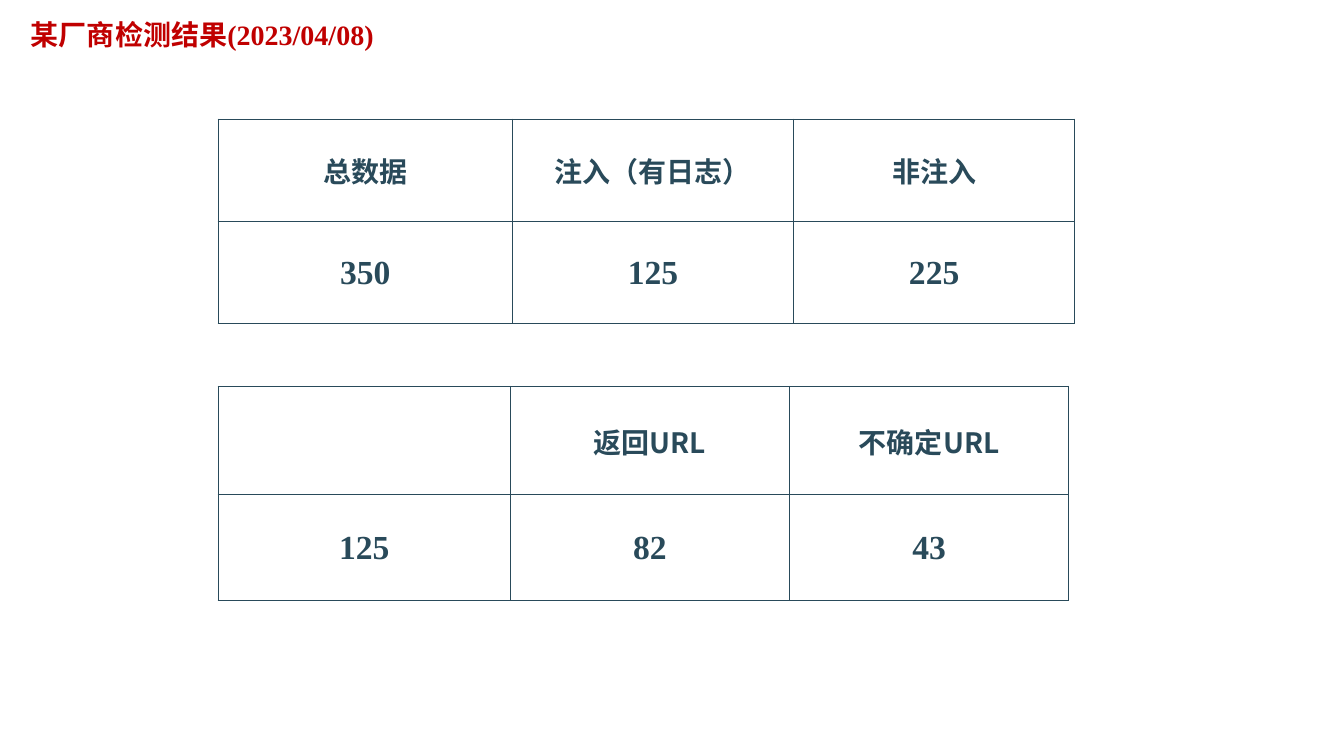
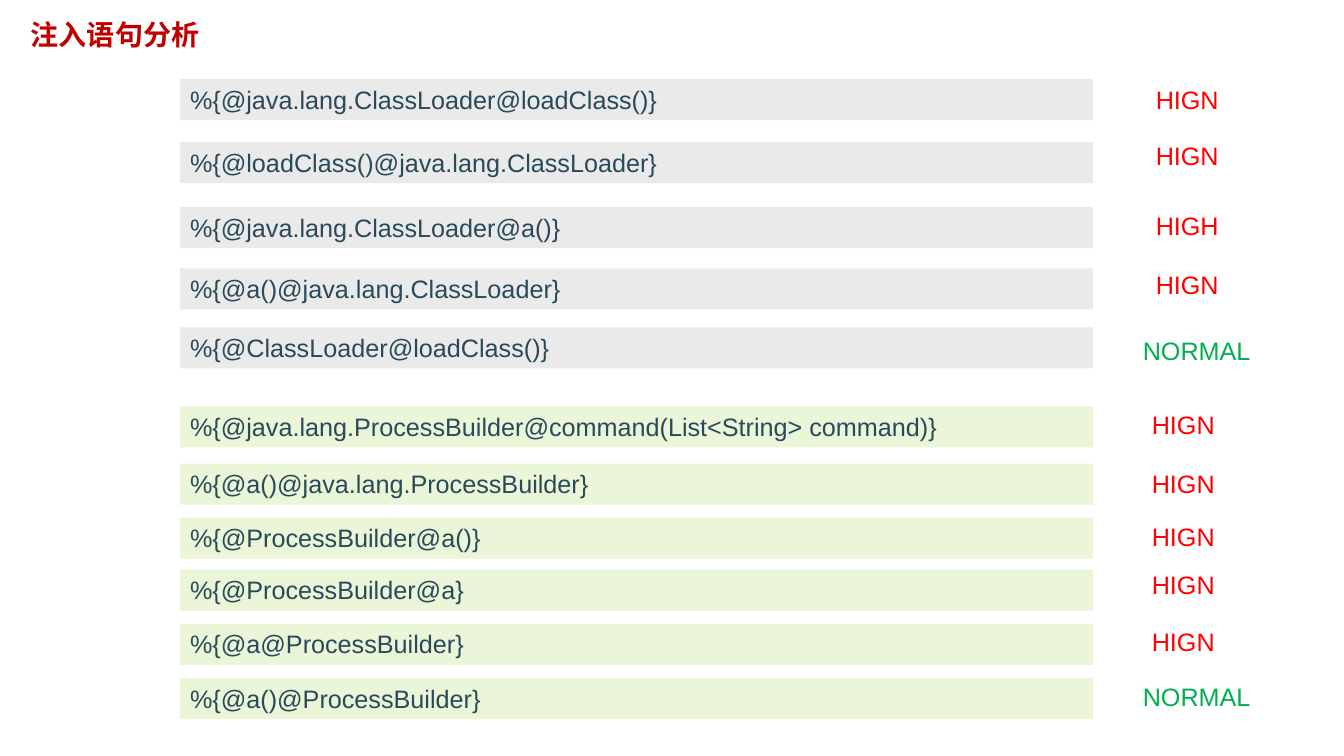
from dataclasses import dataclass

from lxml.etree import SubElement
from pptx import Presentation
from pptx.dml.color import RGBColor
from pptx.enum.shapes import MSO_AUTO_SHAPE_TYPE as ShapeKind
from pptx.enum.text import MSO_ANCHOR as Anchor, PP_ALIGN as Align
from pptx.oxml import parse_xml
from pptx.oxml.ns import nsdecls, qn
from pptx.util import Pt

EMU_PER_PIXEL = 9080


@dataclass(frozen=True)
class Theme:
    """Colours, fonts and type sizes shared by the slides."""
    title: str = "C00000"
    ink: str = "294A5A"
    paper: str = "FFFFFF"
    loader: str = "EAEAEA"
    process: str = "EBF5D7"
    alert: str = "FF0000"
    normal: str = "00B050"
    serif: str = "Times New Roman"
    sans: str = "Arial"
    chinese: str = "Noto Sans CJK SC"
    heading_size: int = 20
    figure_size: int = 24
    body_size: int = 18


THEME = Theme()
TITLE_STYLE = dict(name=THEME.serif, size=THEME.heading_size, bold=True, color=THEME.title)
HEADER_STYLE = dict(name=THEME.chinese, size=THEME.heading_size, bold=True, color=THEME.ink)
FIGURE_STYLE = dict(name=THEME.serif, size=THEME.figure_size, bold=True, color=THEME.ink)
BODY_STYLE = dict(name=THEME.sans, size=THEME.body_size, bold=False)

# column widths, row heights and cell texts of each table, with its top
RESULT_TABLES = [
    (119, (294, 281, 281), (102, 102),
     [("总数据", "注入（有日志）", "非注入"), ("350", "125", "225")]),
    (386, (292, 279, 279), (108, 106),
     [("", "返回URL", "不确定URL"), ("125", "82", "43")]),
]

# bar colour, left edge of the alert labels, then (bar top, label top, statement, verdict)
STATEMENT_GROUPS = [
    (THEME.loader, 1145, [
        (79, 79, "%{@java.lang.ClassLoader@loadClass()}", "HIGN"),
        (142, 135, "%{@loadClass()@java.lang.ClassLoader}", "HIGN"),
        (207, 205, "%{@java.lang.ClassLoader@a()}", "HIGH"),
        (268, 264, "%{@a()@java.lang.ClassLoader}", "HIGN"),
        (327, 330, "%{@ClassLoader@loadClass()}", "NORMAL"),
    ]),
    (THEME.process, 1141, [
        (406, 404, "%{@java.lang.ProcessBuilder@command(List<String> command)}", "HIGN"),
        (463, 463, "%{@a()@java.lang.ProcessBuilder}", "HIGN"),
        (517, 516, "%{@ProcessBuilder@a()}", "HIGN"),
        (569, 564, "%{@ProcessBuilder@a}", "HIGN"),
        (623, 621, "%{@a@ProcessBuilder}", "HIGN"),
        (677, 675, "%{@a()@ProcessBuilder}", "NORMAL"),
    ]),
]
NORMAL_LEFT = 1132
ROW_HEIGHT = 41


def px(*lengths):
    """Turn pixel lengths into a list of EMU lengths."""
    return [length * EMU_PER_PIXEL for length in lengths]


def apply(target, values):
    """Set each named attribute on the target."""
    for name, value in values.items():
        setattr(target, name, value)


def write(frame, text, style, align=Align.LEFT):
    """Put one styled paragraph into a text frame."""
    para = frame.paragraphs[0]
    para.alignment = align
    span = para.add_run()
    span.text = text
    apply(span.font, dict(name=style["name"], size=Pt(style["size"]), bold=style["bold"]))
    span.font.color.rgb = RGBColor.from_string(style["color"])
    SubElement(span._r.get_or_add_rPr(), qn("a:ea"), typeface=THEME.chinese)


def add_label(page, place, text, style):
    """Add a wrapped text box."""
    box = page.shapes.add_textbox(*px(*place))
    apply(box.text_frame, dict(word_wrap=True, vertical_anchor=Anchor.TOP))
    write(box.text_frame, text, style)


def add_bar(page, place, text, fill):
    """Add a filled rectangle that holds one statement."""
    bar = page.shapes.add_shape(ShapeKind.RECTANGLE, *px(*place))
    bar.shadow.inherit = False
    bar.fill.solid()
    bar.fill.fore_color.rgb = RGBColor.from_string(fill)
    bar.line.fill.background()
    apply(bar.text_frame, dict(word_wrap=True, vertical_anchor=Anchor.TOP))
    write(bar.text_frame, text, BODY_STYLE | dict(color=THEME.ink))


def style_cell(cell):
    """Give a table cell its margins, fill and four borders."""
    inset = px(1)[0]
    apply(cell, dict(margin_left=inset, margin_right=inset, margin_top=inset,
                     margin_bottom=0, vertical_anchor=Anchor.MIDDLE))
    cell.fill.solid()
    cell.fill.fore_color.rgb = RGBColor.from_string(THEME.paper)
    properties = cell._tc.get_or_add_tcPr()
    for position, side in enumerate("LRTB"):
        properties.insert(position, parse_xml(
            f'<a:ln{side} {nsdecls("a")} w="{Pt(1)}"><a:solidFill>'
            f'<a:srgbClr val="{THEME.ink}"/></a:solidFill></a:ln{side}>'))


def add_result_table(page, top, widths, heights, rows):
    """Add a table with a heading row above a row of figures."""
    place = px(218, top, sum(widths), sum(heights))
    table = page.shapes.add_table(len(heights), len(widths), *place).table
    apply(table, dict(first_row=False, horz_banding=False))
    for column, width in zip(table.columns, px(*widths)):
        column.width = width
    for row, height, texts, style in zip(table.rows, px(*heights), rows,
                                         (HEADER_STYLE, FIGURE_STYLE)):
        row.height = height
        for cell, text in zip(row.cells, texts):
            style_cell(cell)
            if text:
                write(cell.text_frame, text, style, Align.CENTER)


def add_page(deck, title):
    """Add a blank slide with the shared title."""
    page = deck.slides.add_slide(deck.slide_layouts[6])
    add_label(page, (21, 13, 429, 44), title, TITLE_STYLE)
    return page


def add_results(deck):
    """Build the slide of detection results."""
    page = add_page(deck, "某厂商检测结果(2023/04/08)")
    for result in RESULT_TABLES:
        add_result_table(page, *result)


def add_statements(deck):
    """Build the slide of injection statements and verdicts."""
    page = add_page(deck, "注入语句分析")
    for fill, alert_left, statements in STATEMENT_GROUPS:
        for bar_top, label_top, statement, verdict in statements:
            add_bar(page, (180, bar_top, 912, ROW_HEIGHT), statement, fill)
            is_normal = verdict == "NORMAL"
            left = NORMAL_LEFT if is_normal else alert_left
            color = THEME.normal if is_normal else THEME.alert
            add_label(page, (left, label_top, 143, ROW_HEIGHT), verdict,
                      BODY_STYLE | dict(color=color))


def main():
    """Build and save the deck."""
    deck = Presentation()
    deck.slide_width, deck.slide_height = px(1343, 755)
    add_results(deck)
    add_statements(deck)
    deck.save("out.pptx")


main()
